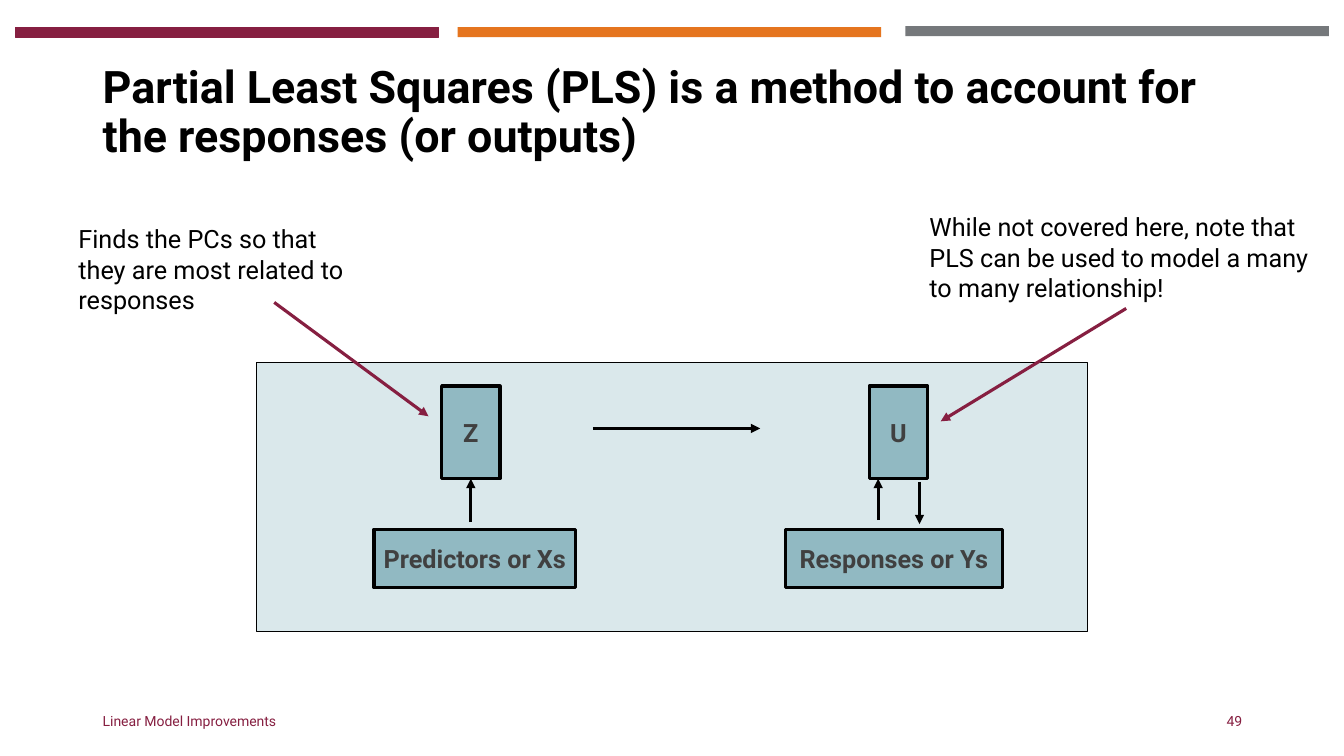
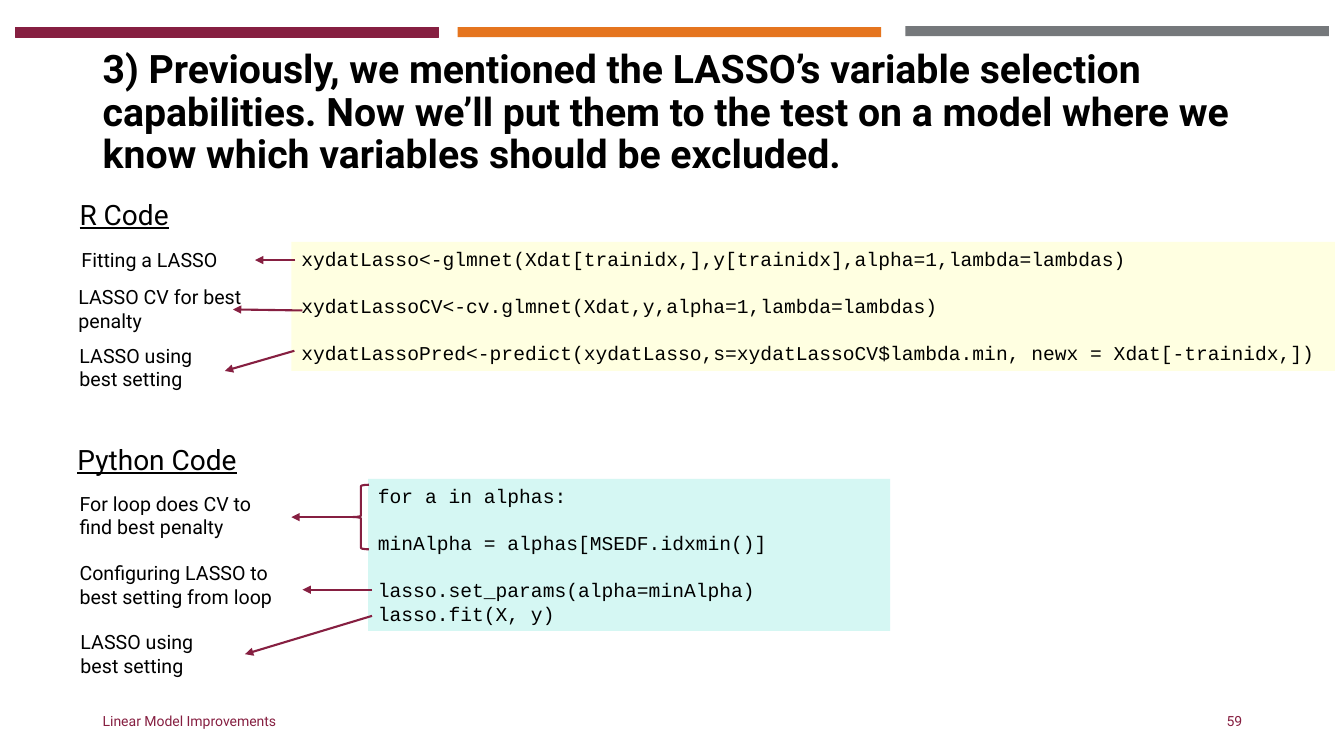
from lxml import etree
from pptx import Presentation
from pptx.dml.color import RGBColor
from pptx.enum.shapes import MSO_CONNECTOR, MSO_SHAPE
from pptx.enum.text import MSO_ANCHOR, PP_ALIGN
from pptx.oxml.ns import qn
from pptx.util import Inches, Pt

COLORS = {
    "maroon": "861F41", "orange": "E5751F", "gray": "75787B",
    "black": "000000", "node_text": "404040", "node": "91B9C2",
    "panel": "DAE8EB", "r_code": "FFFFE1", "python_code": "D5F7F3",
}
FONT, CODE_FONT = "Roboto", "Courier New"


def add_box(s, at, text="", size=18, color="black", fill=None, line=None,
            line_width=0.75, shape=MSO_SHAPE.RECTANGLE, font=FONT, bold=False,
            underline=False, align=PP_ALIGN.LEFT, anchor=MSO_ANCHOR.TOP,
            spacing=None, wrap=True):
    """Add a text box, or a shape when it has a fill or a line."""
    place = [Inches(v) for v in at]
    if fill or line:
        sp = s.shapes.add_shape(shape, *place)
        sp.shadow.inherit = False
        if fill:
            sp.fill.solid()
            sp.fill.fore_color.rgb = RGBColor.from_string(COLORS[fill])
        else:
            sp.fill.background()
        if line:
            sp.line.color.rgb = RGBColor.from_string(COLORS[line])
            sp.line.width = Pt(line_width)
        else:
            sp.line.fill.background()
    else:
        sp = s.shapes.add_textbox(*place)
    if text:
        tf = sp.text_frame
        tf.text = text
        tf.word_wrap = wrap
        tf.vertical_anchor = anchor
        for p in tf.paragraphs:
            p.alignment = align
            if spacing:
                p.line_spacing = spacing
            for r in p.runs:
                r.font.name = font
                r.font.size = Pt(size)
                r.font.bold = bold
                r.font.underline = underline
                r.font.color.rgb = RGBColor.from_string(COLORS[color])
    return sp


def add_arrow(s, start, end, color="maroon", width=1.5):
    """Add a straight line with an arrowhead at its end."""
    cx = s.shapes.add_connector(
        MSO_CONNECTOR.STRAIGHT, *[Inches(v) for v in (*start, *end)])
    cx.line.color.rgb = RGBColor.from_string(COLORS[color])
    cx.line.width = Pt(width)
    etree.SubElement(cx.line._get_or_add_ln(), qn("a:tailEnd"), type="triangle")
    etree.SubElement(cx._element.spPr, qn("a:effectLst"))
    return cx


prs = Presentation()
prs.slide_width, prs.slide_height = Inches(13.33), Inches(7.5)

# Shared frame: bands, title, footer, slide number
titles = [
    ("Partial Least Squares (PLS) is a method to account for the responses "
     "(or outputs)", 32, "49"),
    ("3) Previously, we mentioned the LASSO’s variable selection capabilities. "
     "Now we’ll put them to the test on a model where we know which variables "
     "should be excluded.", 28, "59"),
]
bands = [(0.15, 0.27, "maroon", "maroon"), (4.54, 0.27, "orange", None),
         (8.98, 0.26, "gray", None)]
slides = []
for title, size, number in titles:
    s = prs.slides.add_slide(prs.slide_layouts[6])
    for x, y, fill, line in bands:
        add_box(s, (x, y, 4.2, 0.1), fill=fill, line=line)
    add_box(s, (0.92, 0.4, 11.5, 1.45), title, size, bold=True, spacing=0.9,
            anchor=MSO_ANCHOR.MIDDLE)
    add_box(s, (0.92, 6.95, 4.5, 0.4), "Linear Model Improvements", 10,
            "maroon", anchor=MSO_ANCHOR.MIDDLE)
    add_box(s, (9.42, 6.95, 3, 0.4), number, 10, "maroon",
            align=PP_ALIGN.RIGHT, anchor=MSO_ANCHOR.MIDDLE)
    slides.append(s)
pls, lasso = slides

# PLS diagram: panel and nodes
add_box(pls, (2.54, 3.6, 8.25, 2.67), fill="panel", line="black")
nodes = {}
for text, at in [
    ("Predictors or Xs", (3.71, 5.25, 2, 0.58)),
    ("Responses or Ys", (7.79, 5.25, 2.15, 0.58)),
    ("Z", (4.38, 3.83, 0.58, 0.92)),
    ("U", (8.62, 3.83, 0.58, 0.92)),
]:
    nodes[text] = add_box(pls, at, text, color="node_text", fill="node",
                          line="black", line_width=2.25, bold=True, wrap=False,
                          align=PP_ALIGN.CENTER, anchor=MSO_ANCHOR.MIDDLE)

# Arrows between the nodes
to_z = add_arrow(pls, (4.67, 5.18), (4.67, 4.75), "black", 2.25)
to_z.end_connect(nodes["Z"], 2)
for start, end in [((8.71, 5.16), (8.71, 4.75)), ((5.88, 4.25), (7.54, 4.25)),
                   ((9.12, 4.78), (9.12, 5.2))]:
    add_arrow(pls, start, end, "black", 2.25)

# Remarks pointing at Z and U
for text, at, start, end in [
    ("Finds the PCs so that they are most related to responses",
     (0.68, 2.17, 3, 1.01), (2.72, 3), (4.25, 4.13)),
    ("While not covered here, note that PLS can be used to model a many to "
     "many relationship!",
     (9.12, 2.05, 4.09, 1.01), (11.17, 3.06), (9.33, 4.18)),
]:
    add_box(pls, at, text)
    add_arrow(pls, start, end, width=2.25)

# LASSO code blocks: heading, box, lines, and lines that follow a gap
code_blocks = [
    ("R Code", (0.69, 1.76, 2.22, 0.56), (2.89, 2.4, 10.35, 1.28), "r_code",
     ["xydatLasso<-glmnet(Xdat[trainidx,],y[trainidx],alpha=1,lambda=lambdas)",
      "xydatLassoCV<-cv.glmnet(Xdat,y,alpha=1,lambda=lambdas)",
      "xydatLassoPred<-predict(xydatLasso,s=xydatLassoCV$lambda.min, "
      "newx = Xdat[-trainidx,])"]),
    ("Python Code", (0.67, 4.19, 2.22, 0.56), (3.65, 4.75, 5.18, 1.51),
     "python_code",
     ["for a in alphas:",
      "minAlpha = alphas[MSEDF.idxmin()]",
      "lasso.set_params(alpha=minAlpha)",
      "lasso.fit(X, y)"]),
]
for heading, heading_at, code_at, fill, lines in code_blocks:
    add_box(lasso, heading_at, heading, 20, underline=True, spacing=1.5,
            anchor=MSO_ANCHOR.MIDDLE)
    code = add_box(lasso, code_at, "\n".join(lines), 14, fill=fill,
                   font=CODE_FONT)
    for p in code.text_frame.paragraphs[1:3]:
        p.space_before = Pt(16.8)

# Labels with arrows from the code
brace = add_box(lasso, (3.5, 4.81, 0.16, 0.64), line="maroon", line_width=1.5,
                shape=MSO_SHAPE.LEFT_BRACE)
arrows = {}
for text, at, start, end in [
    ("Fitting a LASSO", (0.71, 2.41, 1.72, 0.34), (2.93, 2.58), (2.53, 2.58)),
    ("LASSO CV for best penalty", (0.68, 2.78, 1.84, 0.57),
     (3, 3.08), (2.31, 3.07)),
    ("LASSO using best setting", (0.69, 3.36, 1.74, 0.57),
     (2.92, 3.48), (2.23, 3.68)),
    ("For loop does CV to find best penalty", (0.69, 4.83, 2.21, 0.57),
     (3.5, 5.13), (2.89, 5.13)),
    ("Configuring LASSO to best setting from loop", (0.69, 5.52, 2.39, 0.57),
     (3.69, 5.85), (3, 5.85)),
    ("LASSO using best setting", (0.7, 6.2, 1.73, 0.57),
     (3.69, 6.11), (2.43, 6.49)),
]:
    add_box(lasso, at, text, 14)
    arrows[text] = add_arrow(lasso, start, end)
arrows["For loop does CV to find best penalty"].begin_connect(brace, 1)

prs.save("out.pptx")
